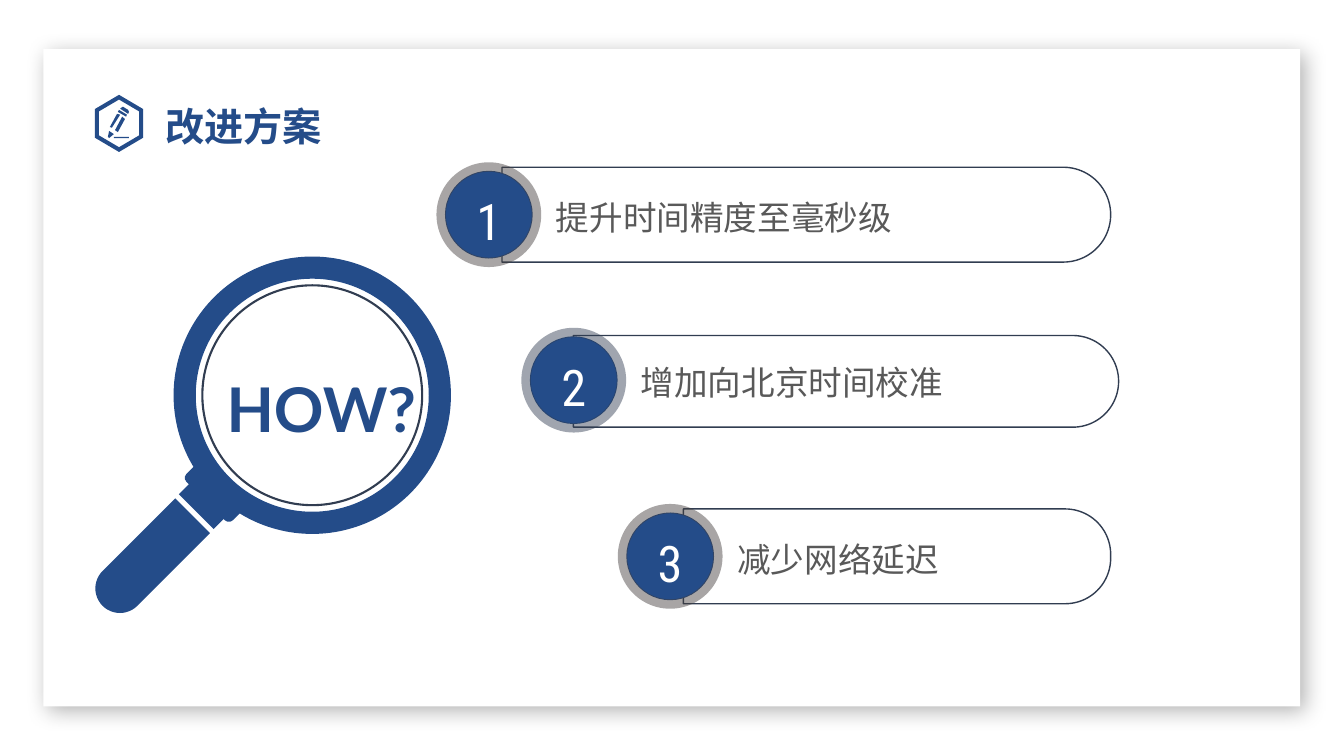
from dataclasses import dataclass

from lxml.etree import SubElement
from pptx import Presentation
from pptx.dml.color import RGBColor
from pptx.enum.shapes import MSO_SHAPE
from pptx.enum.text import MSO_ANCHOR, PP_ALIGN
from pptx.oxml.ns import qn
from pptx.shapes.autoshape import Shape
from pptx.slide import Slide
from pptx.util import Cm, Pt

NAVY = "244C89"
OUTLINE = "313D51"
WHITE = "FFFFFF"
GREY = "595959"
CJK = "Noto Sans CJK SC"

LENS_X, LENS_Y = 7.87, 9.96
ICON_X, ICON_Y = 3.0, 3.11
DISC, RING = 2.21, 2.64

Contour = list[tuple[float, float]]


@dataclass
class Measure:
    number: str
    wording: str
    x: float
    y: float
    pill_left: float
    pill_right: float
    pill_y: float
    pill_height: float
    roundness: float
    wording_width: float
    ring_color: str


@dataclass
class HandlePart:
    preset: MSO_SHAPE
    x: float
    y: float
    width: float
    height: float
    rotation: float
    adjustments: tuple[float, ...]


MEASURES = [
    Measure("1", "提升时间精度至毫秒级", 12.32, 5.41, 12.65, 27.99, 5.41, 2.39, 0.5, 12.62, "433D3C"),
    Measure("2", "增加向北京时间校准", 14.46, 9.58, 14.45, 28.19, 9.61, 2.31, 0.5, 10.87, OUTLINE),
    Measure("3", "减少网络延迟", 16.89, 14.02, 17.22, 27.99, 14.02, 2.39, 0.48, 8.71, "433D3C"),
]

HANDLE = [
    HandlePart(MSO_SHAPE.ROUND_2_SAME_RECTANGLE, 3.72, 14.13, 1.24, 3.21, 225, (0.5, 0)),
    HandlePart(MSO_SHAPE.ROUND_2_SAME_RECTANGLE, 5.28, 12.56, 1.24, 0.94, 45, (0.5, 0)),
    HandlePart(MSO_SHAPE.ROUNDED_RECTANGLE, 5.47, 12.34, 1.65, 0.81, 45, (0.17,)),
]

PENCIL: list[Contour] = [
    [(-0.13, 0.34), (0.25, 0.34), (0.25, 0.37), (-0.13, 0.37)],
    [(-0.1, 0.17), (0.08, -0.17), (0.15, -0.11), (-0.03, 0.22)],
    [(-0.23, 0.09), (-0.05, -0.24), (0.03, -0.22), (-0.18, 0.11)],
    [(-0.28, 0.34), (-0.25, 0.19), (-0.13, 0.27), (-0.25, 0.37)],
    [(0, -0.34), (-0.03, -0.29), (0.18, -0.17), (0.2, -0.22)],
    [(0.03, -0.37), (0.05, -0.39), (0.1, -0.42), (0.23, -0.34), (0.25, -0.29), (0.23, -0.24)],
]


def rgb(color: str) -> RGBColor:
    return RGBColor.from_string(color)


def paint(shape: Shape, fill: str | None = None, line: str | None = None, weight: float = 1) -> None:
    shape.shadow.inherit = False
    if fill:
        shape.fill.solid()
        shape.fill.fore_color.rgb = rgb(fill)
    else:
        shape.fill.background()
    if line:
        shape.line.color.rgb = rgb(line)
        shape.line.width = Pt(weight)
    else:
        shape.line.fill.background()


def add_centred(slide: Slide, preset: MSO_SHAPE, x: float, y: float, width: float, height: float,
                adjustments: tuple[float, ...] = (), rotation: float = 0,
                fill: str | None = None, line: str | None = None, weight: float = 1) -> Shape:
    shape = slide.shapes.add_shape(
        preset, Cm(x - width / 2), Cm(y - height / 2), Cm(width), Cm(height))
    for index, value in enumerate(adjustments):
        shape.adjustments[index] = value
    shape.rotation = rotation
    paint(shape, fill, line, weight)
    return shape


def write(shape: Shape, text: str, *, size: float, color: str, font: str, bold: bool = False,
          align: PP_ALIGN = PP_ALIGN.LEFT, anchor: MSO_ANCHOR = MSO_ANCHOR.TOP) -> None:
    frame = shape.text_frame
    frame.word_wrap = True
    frame.vertical_anchor = anchor
    paragraph = frame.paragraphs[0]
    paragraph.alignment = align
    paragraph.line_spacing = 1.2
    run = paragraph.add_run()
    run.text = text
    run.font.size = Pt(size)
    run.font.bold = bold
    run.font.name = font
    run.font.color.rgb = rgb(color)
    SubElement(run.font._element, qn("a:ea"), typeface=CJK)


def add_label(slide: Slide, left: float, top: float, width: float, height: float) -> Shape:
    return slide.shapes.add_textbox(Cm(left), Cm(top), Cm(width), Cm(height))


def add_card(slide: Slide) -> None:
    card = add_centred(slide, MSO_SHAPE.RECTANGLE, 16.93, 9.52, 31.67, 16.56, fill=WHITE)
    effects = card._element.spPr.find(qn("a:effectLst"))
    shadow = SubElement(effects, qn("a:outerShdw"), blurRad=str(Pt(15)), dist=str(Pt(5)),
                        dir="2700000", algn="tl", rotWithShape="0")
    shade = SubElement(shadow, qn("a:srgbClr"), val="000000")
    SubElement(shade, qn("a:alpha"), val="30000")


def hexagon(half_width: float, half_height: float) -> Contour:
    half_side = half_height / 2
    return [(0, -half_height), (half_width, -half_side), (half_width, half_side),
            (0, half_height), (-half_width, half_side), (-half_width, -half_side)]


def add_icon(slide: Slide) -> None:
    contours = [
        [(round(x * 100), round(y * 100)) for x, y in contour]
        for contour in [hexagon(0.61, 0.72), hexagon(0.51, 0.6), *PENCIL]
    ]
    builder = slide.shapes.build_freeform(*contours[0][0], scale=Cm(0.01))
    for position, contour in enumerate(contours):
        if position:
            builder.move_to(*contour[0])
        builder.add_line_segments(contour[1:], close=True)
    paint(builder.convert_to_shape(Cm(ICON_X), Cm(ICON_Y)), NAVY)


def add_magnifier(slide: Slide) -> None:
    add_centred(slide, MSO_SHAPE.OVAL, LENS_X, LENS_Y, 5.54, 5.54, line=OUTLINE, weight=1.5)
    add_centred(slide, MSO_SHAPE.DONUT, LENS_X, LENS_Y, 6.99, 6.99, (0.08,), fill=NAVY)
    for part in HANDLE:
        add_centred(slide, part.preset, part.x, part.y, part.width, part.height,
                    part.adjustments, part.rotation, fill=NAVY)


def add_measure(slide: Slide, measure: Measure) -> None:
    add_centred(slide, MSO_SHAPE.ROUND_2_SAME_RECTANGLE,
                (measure.pill_left + measure.pill_right) / 2, measure.pill_y,
                measure.pill_height, measure.pill_right - measure.pill_left,
                (measure.roundness, 0), 90, line=OUTLINE)
    wording = add_label(slide, measure.x + 1.44, measure.y - 0.78, measure.wording_width, 1.37)
    write(wording, measure.wording, size=24, color=GREY, font=CJK, align=PP_ALIGN.JUSTIFY)
    disc = add_centred(slide, MSO_SHAPE.OVAL, measure.x, measure.y, DISC, DISC, fill=NAVY)
    write(disc, measure.number, size=36, color=WHITE, font="Roboto Condensed",
          align=PP_ALIGN.CENTER, anchor=MSO_ANCHOR.MIDDLE)
    ring = add_centred(slide, MSO_SHAPE.DONUT, measure.x, measure.y, RING, RING, (0.09,),
                       fill=measure.ring_color)
    tint = ring._element.spPr.find(qn("a:solidFill"))[0]
    SubElement(tint, qn("a:alpha"), val="46000")


def main() -> None:
    presentation = Presentation()
    presentation.slide_width = Cm(33.87)
    presentation.slide_height = Cm(19.05)
    slide = presentation.slides.add_slide(presentation.slide_layouts[6])
    add_card(slide)
    add_icon(slide)
    add_magnifier(slide)
    for measure in MEASURES:
        add_measure(slide, measure)
    title = add_label(slide, 3.91, 2.21, 10.08, 1.27)
    write(title, "改进方案", size=28, color=NAVY, font="Lato", bold=True)
    question = add_label(slide, 5.46, 8.84, 6.22, 4.01)
    write(question, "HOW?", size=44, color=NAVY, font="Lato", bold=True)
    presentation.save("out.pptx")


if __name__ == "__main__":
    main()
